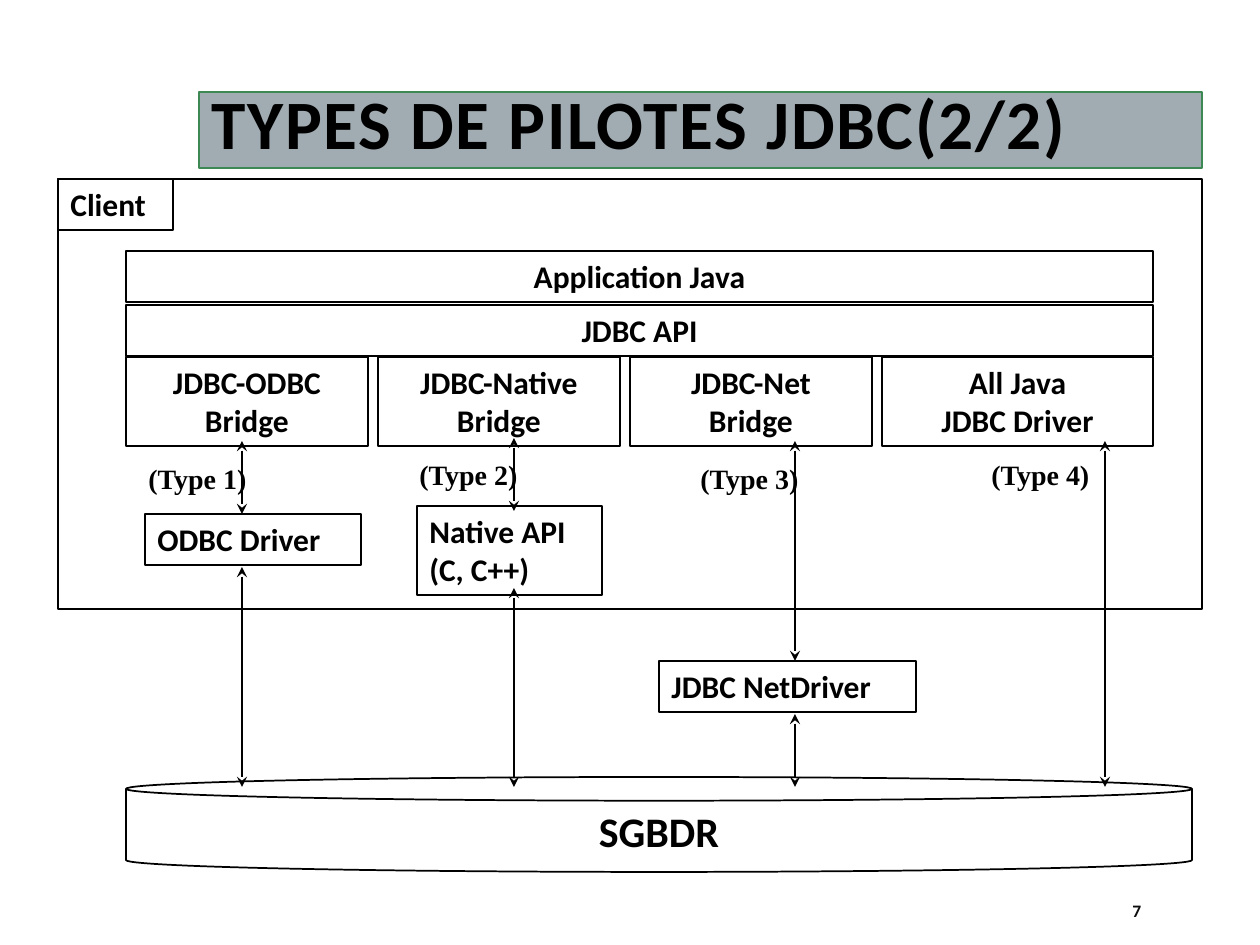
from lxml import etree
from pptx import Presentation
from pptx.dml.color import RGBColor
from pptx.enum.shapes import MSO_CONNECTOR, MSO_SHAPE
from pptx.enum.text import MSO_ANCHOR, MSO_AUTO_SIZE, PP_ALIGN
from pptx.oxml.ns import qn
from pptx.util import Emu, Pt

RECT, CAN = MSO_SHAPE.RECTANGLE, MSO_SHAPE.CAN
LINE = MSO_CONNECTOR.STRAIGHT
LEFT, MID = PP_ALIGN.LEFT, PP_ALIGN.CENTER
TOP, CENTER = MSO_ANCHOR.TOP, MSO_ANCHOR.MIDDLE
FIXED = MSO_AUTO_SIZE.NONE
SCALE = 914400 / 126
COLORS = {"ink": "000000", "band": "A1ACB2", "edge": "3E8853", "page": "0D0D0D"}


def px(n):
    return Emu(round(n * SCALE))


def color(name):
    return RGBColor.from_string(COLORS[name])


class Board:
    sans, serif = "Calibri", "Times New Roman"

    def __init__(self, slide):
        self.slide = slide
        self.shapes = slide.shapes

    def letter(self, shape, text, size, font=sans, align=LEFT, anchor=TOP, ink="ink", wrap=True):
        frame = shape.text_frame
        frame.text = text
        frame.auto_size = FIXED
        frame.word_wrap = wrap
        frame.vertical_anchor = anchor
        for para in frame.paragraphs:
            para.alignment = align
            for run in para.runs:
                run.font.name = font
                run.font.size = Pt(size)
                run.font.bold = True
                run.font.color.rgb = color(ink)

    def title(self, text, x, y, w, h):
        shape = self.shapes.title
        shape.left, shape.top, shape.width, shape.height = map(px, (x, y, w, h))
        shape.fill.solid()
        shape.fill.fore_color.rgb = color("band")
        shape.line.color.rgb = color("edge")
        shape.line.width = Pt(1.25)
        self.letter(shape, text, 39.6, anchor=CENTER)
        para = shape.text_frame.paragraphs[0]
        para.line_spacing = 0.8
        para.runs[0]._r.get_or_add_rPr().set("spc", "100")

    def box(self, x, y, w, h, text="", align=LEFT, kind=RECT, size=18, anchor=TOP):
        shape = self.shapes.add_shape(kind, *map(px, (x, y, w, h)))
        shape.shadow.inherit = False
        shape.fill.background()
        shape.line.color.rgb = color("ink")
        shape.line.width = Pt(1)
        if text:
            self.letter(shape, text, size, align=align, anchor=anchor)

    def label(self, x, y, w, h, text, size, **style):
        self.letter(self.shapes.add_textbox(*map(px, (x, y, w, h))), text, size, **style)

    def arrow(self, x, top, end):
        line = self.shapes.add_connector(LINE, *map(px, (x, top, x, end)))
        line.line.color.rgb = color("ink")
        line.line.width = Pt(1)
        stroke = line.line._get_or_add_ln()
        for tip in ("a:headEnd", "a:tailEnd"):
            etree.SubElement(stroke, qn(tip), type="stealth")
        etree.SubElement(line._element.spPr, qn("a:effectLst"))


def main():
    deck = Presentation()
    deck.slide_width, deck.slide_height = px(1260), px(945)
    board = Board(deck.slides.add_slide(deck.slide_layouts[5]))

    board.title("TYPES DE PILOTES JDBC(2/2)", 199, 92, 1003, 76)
    board.label(1120, 892, 101, 38, "7", 10, anchor=CENTER, ink="page")

    board.box(58, 179, 1144, 430)
    board.box(58, 179, 115, 51, "Client")
    for y, text in ((251, "Application Java"), (305, "JDBC API")):
        board.box(126, y, 1027, 51, text, MID)

    bridges = ("JDBC-ODBC\nBridge", "JDBC-Native\nBridge", "JDBC-Net\nBridge", "All Java\nJDBC Driver")
    for i, text in enumerate(bridges):
        board.box(126 + 252 * i, 357, 271 if i == 3 else 242, 89, text, MID)

    for x, y, w, h, text in (
        (145, 514, 216, 51, "ODBC Driver"),
        (417, 506, 185, 89, "Native API\n(C, C++)"),
        (659, 661, 257, 51, "JDBC NetDriver"),
    ):
        board.box(x, y, w, h, text)

    base = 787
    board.box(126, 777, 1066, 95, "SGBDR", MID, CAN, 24, CENTER)
    for x, *spans in (
        (242, (441, 514), (567, base)),
        (514, (438, 511), (588, base)),
        (795, (441, 661), (714, base)),
        (1105, (441, base)),
    ):
        for top, end in spans:
            board.arrow(x, top, end)

    for i, (x, y) in enumerate(((136, 455), (407, 451), (688, 455), (979, 451)), 1):
        board.label(x, y, 125, 47, f"(Type {i})", 16, font=board.serif, wrap=False)

    deck.save("out.pptx")


if __name__ == "__main__":
    main()
